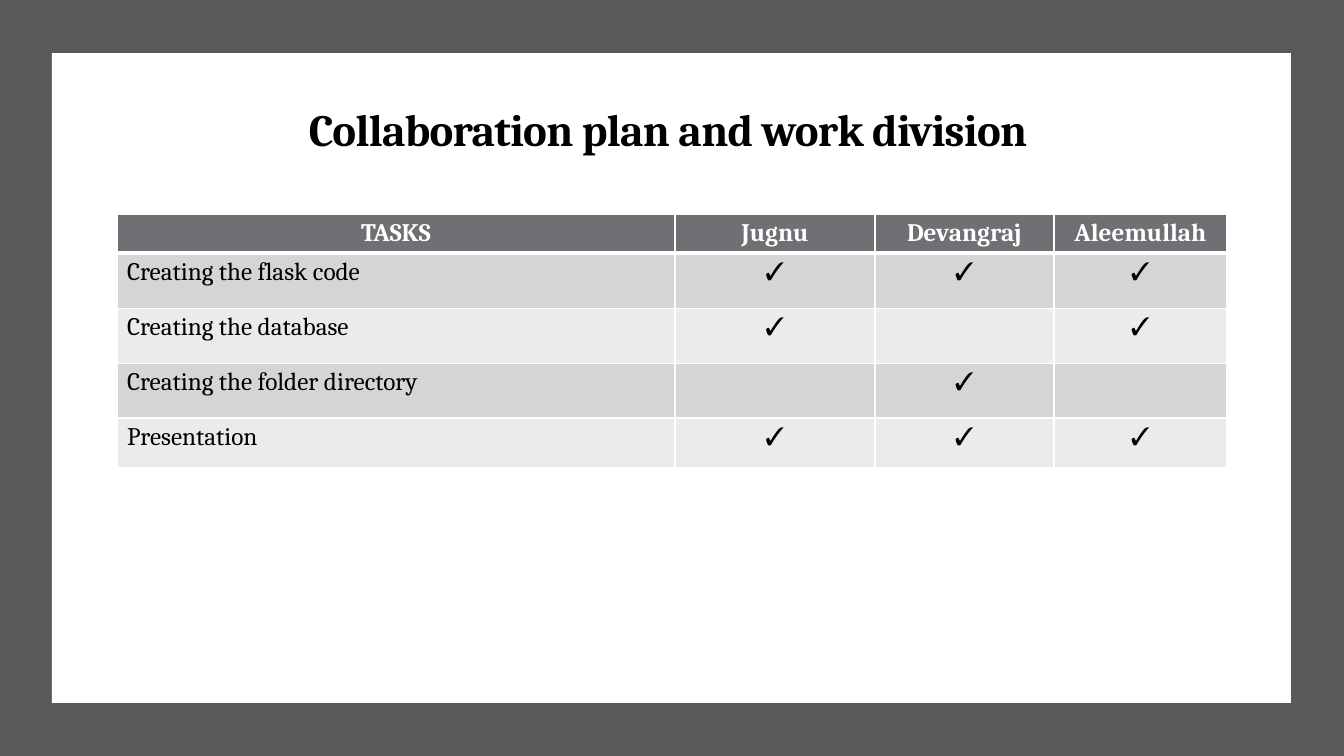
from lxml.etree import SubElement
from pptx import Presentation
from pptx.dml.color import RGBColor
from pptx.enum.shapes import MSO_SHAPE as Shape
from pptx.enum.text import MSO_ANCHOR as Anchor, PP_ALIGN as Align
from pptx.oxml.ns import qn
from pptx.util import Pt

PX = 914400 / 100.8
FONT = "Cambria"
WHITE, BLACK, FRAME, HEADER = "FFFFFF", "000000", "595959", "6F6F74"
BANDS = ("D5D5D6", "EBEBEB")

PEOPLE = ("Jugnu", "Devangraj", "Aleemullah")
TASKS = (
    ("Creating the flask code", PEOPLE),
    ("Creating the database", ("Jugnu", "Aleemullah")),
    ("Creating the folder directory", ("Devangraj",)),
    ("Presentation", PEOPLE),
)
COLUMN_WIDTHS = (558, 200, 179, 173)
ROW_HEIGHTS = (38, 55, 55, 55, 50)


def px(length):
    return round(length * PX)


def paint(fill, color):
    fill.solid()
    fill.fore_color.rgb = RGBColor.from_string(color)


def style_text(para, size, color, bold, align):
    para.alignment = align
    para.font.size = Pt(size)
    for span in para.runs:
        span.font.name = FONT
        span.font.size = Pt(size)
        span.font.bold = bold
        span.font.color.rgb = RGBColor.from_string(color)


def add_panel(page, box, color):
    panel = page.shapes.add_shape(Shape.RECTANGLE, *map(px, box))
    panel.shadow.inherit = False
    paint(panel.fill, color)
    panel.line.fill.background()


def place_title(page, box, text):
    title = page.shapes.title
    title.left, title.top, title.width, title.height = map(px, box)
    page.shapes._spTree.append(title._element)  # in front of the panels
    frame = title.text_frame
    frame.text = text
    frame.word_wrap = True
    frame.vertical_anchor = Anchor.BOTTOM
    para = frame.paragraphs[0]
    para.line_spacing = 0.9
    style_text(para, 32, BLACK, True, Align.CENTER)
    para.runs[0]._r.get_or_add_rPr().set("spc", "-50")


def set_borders(cell, widths):
    """Draw white left, right, top and bottom borders, widths in points."""
    properties = cell._tc.get_or_add_tcPr()
    for side, width in zip("LRTB", widths):
        line = SubElement(properties, qn(f"a:ln{side}"), w=str(Pt(width)))
        fill = SubElement(line, qn("a:solidFill"))
        SubElement(fill, qn("a:srgbClr"), val=WHITE)


def add_task_table(page, left, top):
    rows = [("TASKS", *PEOPLE)]
    for task, owners in TASKS:
        rows.append((task, *("✓" if name in owners else "" for name in PEOPLE)))
    box = (left, top, sum(COLUMN_WIDTHS), sum(ROW_HEIGHTS))
    table = page.shapes.add_table(len(rows), len(rows[0]), *map(px, box)).table
    for column, width in zip(table.columns, COLUMN_WIDTHS):
        column.width = px(width)
    for row, height in zip(table.rows, ROW_HEIGHTS):
        row.height = px(height)
    for r, texts in enumerate(rows):
        header = r == 0
        for c, text in enumerate(texts):
            cell = table.cell(r, c)
            cell.text = text
            set_borders(cell, (1, 1, 3 if r == 1 else 1, 3 if header else 1))
            paint(cell.fill, HEADER if header else BANDS[(r - 1) % 2])
            align = Align.CENTER if header or c else Align.LEFT
            style_text(cell.text_frame.paragraphs[0], 18,
                       WHITE if header else BLACK, header, align)


def build_plan_slide(deck):
    page = deck.slides.add_slide(deck.slide_layouts[5])
    add_panel(page, (0, 0, 1344, 756), FRAME)
    add_panel(page, (52, 53, 1239, 650), WHITE)
    place_title(page, (193, 77, 959, 84), "Collaboration plan and work division ")
    add_task_table(page, 117, 214)


def main():
    deck = Presentation()
    deck.slide_width, deck.slide_height = px(1344), px(756)
    build_plan_slide(deck)
    deck.save("out.pptx")


if __name__ == "__main__":
    main()
